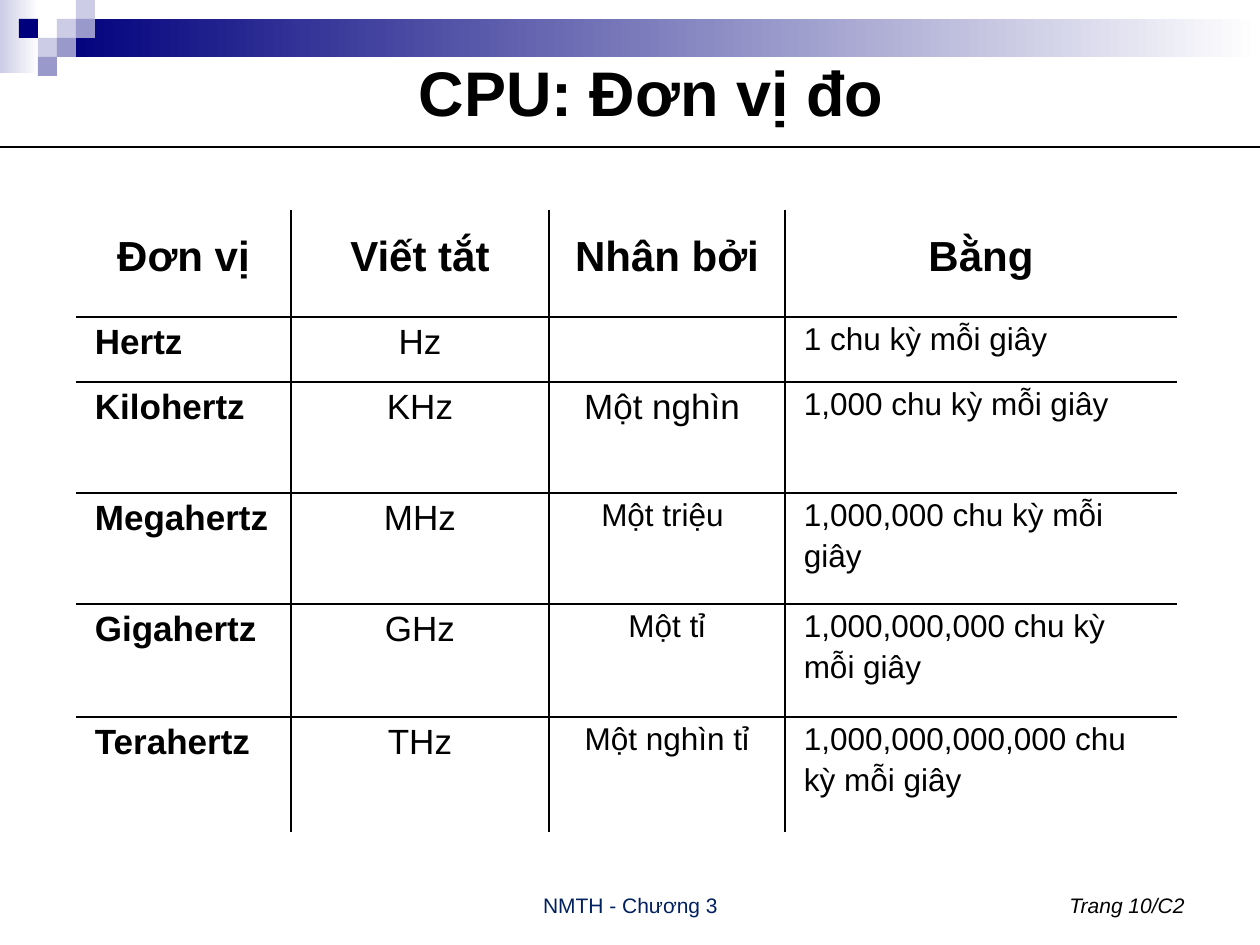
import pptx
import pptx.util
import pptx.dml.color
import pptx.enum.shapes
import pptx.enum.text
import pptx.oxml
import pptx.oxml.ns

PX = 914400 / 126
FONT = "Arial"
BLACK, NAVY, LILAC, VIOLET, WHITE = "000000", "00007D", "CCCCE6", "9999CC", "FFFFFF"
ALIGN = pptx.enum.text.PP_ALIGN
ANCHOR = pptx.enum.text.MSO_ANCHOR

TITLE = ("CPU: Đơn vị đo", (42, 31, 1218, 120))
GRADIENT_BARS = [((0, 0, 39, 73), LILAC), ((57, 19, 1203, 38), NAVY)]
SQUARE = 19
SQUARES = [  # column, row, colour
    (3, 1, LILAC), (4, 0, LILAC), (4, 1, VIOLET), (2, 2, LILAC),
    (1, 1, NAVY), (3, 2, VIOLET), (2, 3, VIOLET),
]
RULE_Y = 147
UNITS = [
    ("Đơn vị", "Viết tắt", "Nhân bởi", "Bằng"),
    ("Hertz", "Hz", "", "1 chu kỳ mỗi giây"),
    ("Kilohertz", "KHz", "Một nghìn ", "1,000 chu kỳ mỗi giây"),
    ("Megahertz", "MHz", "Một triệu ", "1,000,000 chu kỳ mỗi giây"),
    ("Gigahertz", "GHz", "Một tỉ", "1,000,000,000 chu kỳ mỗi giây"),
    ("Terahertz", "THz", "Một nghìn tỉ", "1,000,000,000,000 chu kỳ mỗi giây"),
]
TABLE_AT = (76, 210)
COLUMN_WIDTHS = [215, 258, 236, 392]
ROW_HEIGHTS = [107, 65, 111, 111, 113, 115]
COLUMN_ALIGN = [ALIGN.JUSTIFY, ALIGN.CENTER, ALIGN.CENTER, ALIGN.LEFT]
COLUMN_SIZE = [20, 20, 18, 18]
LARGE_MULTIPLIER = "Một nghìn "
FOOTERS = [
    ("NMTH - Chương 3", (431, 861, 399, 63), ALIGN.CENTER, {"size": 12, "color": "002060"}),
    ("Trang 10/C2", (903, 861, 294, 63), ALIGN.RIGHT, {"size": 12, "italic": True}),
]


def emu(*lengths):
    return [round(length * PX) for length in lengths]


def rgb(hex_colour):
    return pptx.dml.color.RGBColor.from_string(hex_colour)


def write(frame, text, align, size, color=BLACK, **styles):
    paragraph = frame.paragraphs[0]
    paragraph.alignment = align
    run = paragraph.add_run()
    run.text = text
    run.font.color.rgb = rgb(color)
    for key, value in {"name": FONT, "size": pptx.util.Pt(size), **styles}.items():
        setattr(run.font, key, value)
    return paragraph


def add_box(slide, box):
    shape = slide.shapes.add_shape(pptx.enum.shapes.MSO_SHAPE.RECTANGLE, *emu(*box))
    shape.shadow.inherit = False
    shape.line.fill.background()
    return shape


def add_decoration(slide):
    for box, start in GRADIENT_BARS:
        fill = add_box(slide, box).fill
        fill.gradient()
        fill.gradient_angle = 0
        for stop, colour in zip(fill.gradient_stops, (start, WHITE)):
            stop.color.rgb = rgb(colour)
    for column, row, colour in SQUARES:
        fill = add_box(slide, (column * SQUARE, row * SQUARE, SQUARE, SQUARE)).fill
        fill.solid()
        fill.fore_color.rgb = rgb(colour)
    rule = slide.shapes.add_connector(
        pptx.enum.shapes.MSO_CONNECTOR.STRAIGHT, *emu(0, RULE_Y, 1260, RULE_Y))
    rule.line.color.rgb = rgb(BLACK)
    rule.line.width = pptx.util.Pt(0.75)
    properties = rule._element.spPr
    properties.append(properties.makeelement(pptx.oxml.ns.qn("a:effectLst"), {}))


def set_borders(cell, visible):
    """Draw the named sides in black and clear the others."""
    properties = cell._tc.get_or_add_tcPr()
    for position, side in enumerate(("L", "R", "T", "B")):
        paint = (f'<a:solidFill><a:srgbClr val="{BLACK}"/></a:solidFill>'
                 if side in visible else "<a:noFill/>")
        properties.insert(position, pptx.oxml.parse_xml(
            f'<a:ln{side} {pptx.oxml.ns.nsdecls("a")} w="12700">{paint}</a:ln{side}>'))


def add_units_table(slide):
    last_row, last_column = len(ROW_HEIGHTS) - 1, len(COLUMN_WIDTHS) - 1
    size = (sum(COLUMN_WIDTHS), sum(ROW_HEIGHTS))
    table = slide.shapes.add_table(
        last_row + 1, last_column + 1, *emu(*TABLE_AT, *size)).table
    table.first_row = table.horz_banding = False
    for column, width in zip(table.columns, emu(*COLUMN_WIDTHS)):
        column.width = width
    for row, height in zip(table.rows, emu(*ROW_HEIGHTS)):
        row.height = height
    side_inset = pptx.util.Inches(0.15)
    cell_format = {"margin_left": side_inset, "margin_right": side_inset,
                   "margin_top": 0, "margin_bottom": 0, "vertical_anchor": ANCHOR.TOP}
    for r, values in enumerate(UNITS):
        for c, text in enumerate(values):
            cell = table.cell(r, c)
            for key, value in cell_format.items():
                setattr(cell, key, value)
            cell.fill.background()
            inner = {"L": c > 0, "R": c < last_column, "T": r > 0, "B": r < last_row}
            set_borders(cell, [side for side, shown in inner.items() if shown])
            if not text:
                continue
            header = r == 0
            points = 24 if header else 20 if text == LARGE_MULTIPLIER else COLUMN_SIZE[c]
            paragraph = write(cell.text_frame, text,
                              ALIGN.CENTER if header else COLUMN_ALIGN[c],
                              points, bold=header or c == 0)
            paragraph.line_spacing = 1.5 if header else 1.15
            paragraph.space_before = paragraph.space_after = pptx.util.Pt(1)


def main():
    deck = pptx.Presentation()
    deck.slide_width, deck.slide_height = emu(1260, 945)
    slide = deck.slides.add_slide(deck.slide_layouts[5])
    add_decoration(slide)

    text, box = TITLE
    title = slide.shapes.title
    title.left, title.top, title.width, title.height = emu(*box)
    title.text_frame.vertical_anchor = ANCHOR.MIDDLE
    write(title.text_frame, text, ALIGN.CENTER, 36, bold=True)

    add_units_table(slide)
    for text, box, align, style in FOOTERS:
        frame = slide.shapes.add_textbox(*emu(*box)).text_frame
        frame.word_wrap = True
        frame.vertical_anchor = ANCHOR.BOTTOM
        write(frame, text, align, **style)
    deck.save("out.pptx")


if __name__ == "__main__":
    main()
